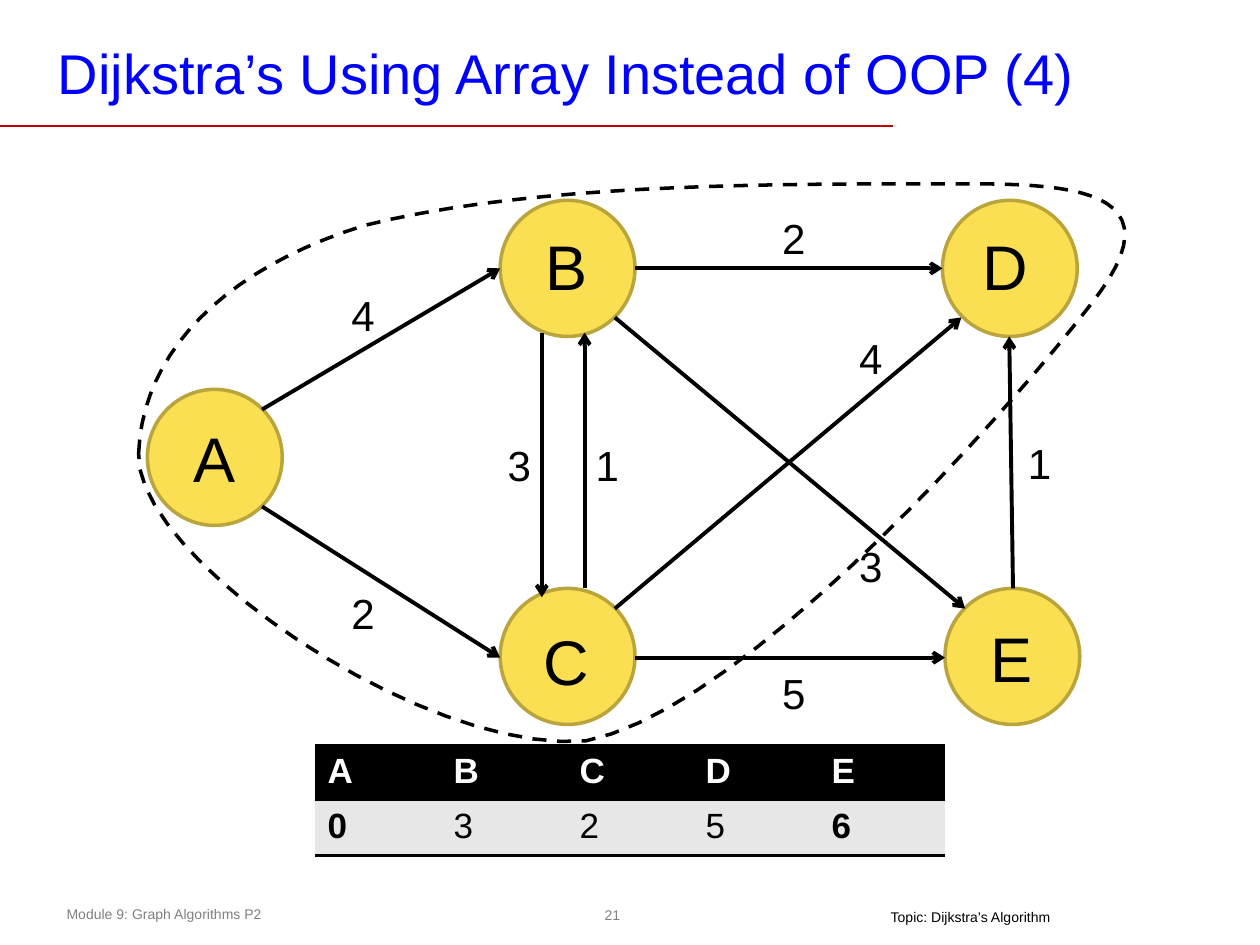
import pptx
import pptx.util
import pptx.dml.color
import pptx.enum.dml
import pptx.enum.shapes
import pptx.enum.text
import pptx.oxml
import pptx.oxml.ns
from lxml import etree

Inches = pptx.util.Inches
Pt = pptx.util.Pt
ALIGN = pptx.enum.text.PP_ALIGN
ANCHOR = pptx.enum.text.MSO_ANCHOR
COLORS = {
    "text": "000000", "title": "0000FF", "rule": "C00000", "footer": "808080",
    "node": "FBDF53", "outline": "BAA53D", "header": "000000",
    "header_text": "FFFFFF", "row": "E7E7E7",
}
NO_GRID_STYLE = "{2D5ABB26-0587-4C30-8999-92F81FD0307C}"
DIAMETER = (1.07, 1.08)
NODES = [
    ("A", (1.17, 3.09), (1.36, 3.28)),
    ("B", (3.97, 1.59), (4.15, 1.76)),
    ("C", (3.97, 4.67), (4.15, 4.89)),
    ("D", (7.48, 1.59), (7.63, 1.76)),
    ("E", (7.5, 4.67), (7.68, 4.87)),
]
EDGES = [
    ("4", (2.08, 3.25), (3.97, 2.13), (2.69, 2.25)),
    ("2", (2.08, 4.02), (3.97, 5.22), (2.69, 4.61)),
    ("3", (4.3, 2.64), (4.3, 4.74), (3.93, 3.44)),
    ("1", (4.64, 4.67), (4.64, 2.64), (4.63, 3.44)),
    ("2", (5.04, 2.13), (7.48, 2.13), (6.11, 1.64)),
    ("3", (4.88, 2.52), (7.66, 4.83), (6.72, 4.24)),
    ("1", (8.04, 4.67), (8.01, 2.67), (8.06, 3.42)),
    ("5", (5.04, 5.22), (7.5, 5.22), (6.11, 5.25)),
    ("4", (4.88, 4.83), (7.63, 2.52), (6.72, 2.59)),
]
VISITED_START = (1.1, 3.6)
VISITED_CURVES = [
    ((1.13, 2.8), (1.77, 2.14), (2.89, 1.79)),
    ((4.32, 1.43), (6.4, 1.46), (7.86, 1.46)),
    ((8.64, 1.47), (9.26, 1.58), (8.73, 2.32)),
    ((8.19, 3.05), (5.97, 5.62), (4.65, 5.88)),
    ((3.35, 5.99), (1.06, 4.41), (1.1, 3.6)),
]


def curve_points(start, curves, steps=20):
    """Return points along a chain of cubic Bézier curves."""
    points = []
    for first, second, end in curves:
        for step in range(1, steps + 1):
            t = step / steps
            weights = ((1 - t) ** 3, 3 * t * (1 - t) ** 2, 3 * t * t * (1 - t), t ** 3)
            corners = (start, first, second, end)
            points.append(tuple(
                sum(weight * corner[axis] for weight, corner in zip(weights, corners))
                for axis in (0, 1)))
        start = end
    return points


class SlideBuilder:
    """Hold the style and the current slide, and add its elements."""

    def __init__(self, slide, font_name="Arial"):
        self.slide = slide
        self.font_name = font_name

    def color(self, name):
        return pptx.dml.color.RGBColor.from_string(COLORS[name])

    def outline(self, line, color, width):
        line.color.rgb = self.color(color)
        line.width = Pt(width)

    def fill_text(self, frame, text, size, color="text", align=ALIGN.LEFT, bold=False):
        paragraph = frame.paragraphs[0]
        paragraph.text = text
        paragraph.alignment = align
        paragraph.font.name = self.font_name
        paragraph.font.size = Pt(size)
        paragraph.font.bold = bold
        paragraph.font.color.rgb = self.color(color)

    def text(self, box, text, size, color="text", align=ALIGN.LEFT,
             insets=(0.1, 0.05, 0.1, 0.05), wrap=True, anchor=ANCHOR.TOP):
        frame = self.slide.shapes.add_textbox(*map(Inches, box)).text_frame
        frame.word_wrap = wrap
        frame.vertical_anchor = anchor
        (frame.margin_left, frame.margin_top,
         frame.margin_right, frame.margin_bottom) = map(Inches, insets)
        self.fill_text(frame, text, size, color, align)

    def line(self, start, end, color="text", width=2.25, arrow=False):
        connector = self.slide.shapes.add_connector(
            pptx.enum.shapes.MSO_CONNECTOR.STRAIGHT, *map(Inches, start + end))
        self.outline(connector.line, color, width)
        if arrow:
            etree.SubElement(connector.line._get_or_add_ln(),
                             pptx.oxml.ns.qn("a:tailEnd"), type="arrow")
        etree.SubElement(connector._element.spPr, pptx.oxml.ns.qn("a:effectLst"))

    def node(self, name, position, label_position):
        shape = self.slide.shapes.add_shape(
            pptx.enum.shapes.MSO_SHAPE.OVAL, *map(Inches, position + DIAMETER))
        shape.shadow.inherit = False
        shape.fill.solid()
        shape.fill.fore_color.rgb = self.color("node")
        self.outline(shape.line, "outline", 2)
        self.text(label_position + (0.69, 0.71), name, 36, align=ALIGN.CENTER)

    def edge(self, weight, start, end, label_position):
        self.line(start, end, arrow=True)
        self.text(label_position + (0.33, 0.5), weight, 24)

    def dashed_region(self, start, curves):
        builder = self.slide.shapes.build_freeform(*map(Inches, start))
        builder.add_line_segments(
            [tuple(map(Inches, point)) for point in curve_points(start, curves)], close=True)
        shape = builder.convert_to_shape()
        shape.shadow.inherit = False
        shape.fill.background()
        self.outline(shape.line, "text", 2)
        shape.line.dash_style = pptx.enum.dml.MSO_LINE.DASH

    def border(self, cell, side):
        cell._tc.get_or_add_tcPr().insert(0, pptx.oxml.parse_xml(
            f'<a:{side} {pptx.oxml.ns.nsdecls("a")} w="{Pt(2)}"><a:solidFill>'
            f'<a:srgbClr val="{COLORS["text"]}"/></a:solidFill></a:{side}>'))

    def distance_table(self, box, rows):
        table = self.slide.shapes.add_table(
            len(rows), len(rows[0]), *map(Inches, box)).table
        table.horz_banding = False
        table._tbl.tblPr.find(pptx.oxml.ns.qn("a:tableStyleId")).text = NO_GRID_STYLE
        last_column = len(rows[0]) - 1
        for row, values in enumerate(rows):
            header = row == 0
            table.rows[row].height = Inches(0.41)
            for column, value in enumerate(values):
                cell = table.cell(row, column)
                cell.fill.solid()
                cell.fill.fore_color.rgb = self.color("header" if header else "row")
                self.fill_text(cell.text_frame, value, 20,
                               "header_text" if header else "text",
                               bold=header or column in (0, last_column))
                self.border(cell, "lnT" if header else "lnB")


def main():
    presentation = pptx.Presentation()
    presentation.slide_width = Inches(10)
    presentation.slide_height = Inches(7.5)
    builder = SlideBuilder(presentation.slides.add_slide(presentation.slide_layouts[6]))

    builder.text((4.74, 7.13, 0.24, 0.26), "21", 8, "footer", ALIGN.CENTER,
                 (0.04, 0.04, 0.04, 0.04), False, ANCHOR.MIDDLE)
    builder.text((0.43, 7.14, 3.64, 0.24), "Module 9: Graph Algorithms P2", 8, "footer")
    builder.line((0, 1), (7.09, 1), "rule", 1)
    builder.text((0.39, 0.28, 9.41, 1.14), "Dijkstra’s Using Array Instead of OOP (4)",
                 32, "title", insets=(0.07, 0.03, 0.07, 0.03))
    builder.distance_table((2.5, 5.92, 5, 0.82), ["ABCDE", "03256"])
    for node in NODES:
        builder.node(*node)
    for edge in EDGES:
        builder.edge(*edge)
    builder.dashed_region(VISITED_START, VISITED_CURVES)
    builder.text((6.97, 7.21, 1.48, 0.17), "Topic: Dijkstra’s Algorithm", 8,
                 insets=(0.1, 0, 0.1, 0.04), wrap=False)
    presentation.save("out.pptx")


if __name__ == "__main__":
    main()
